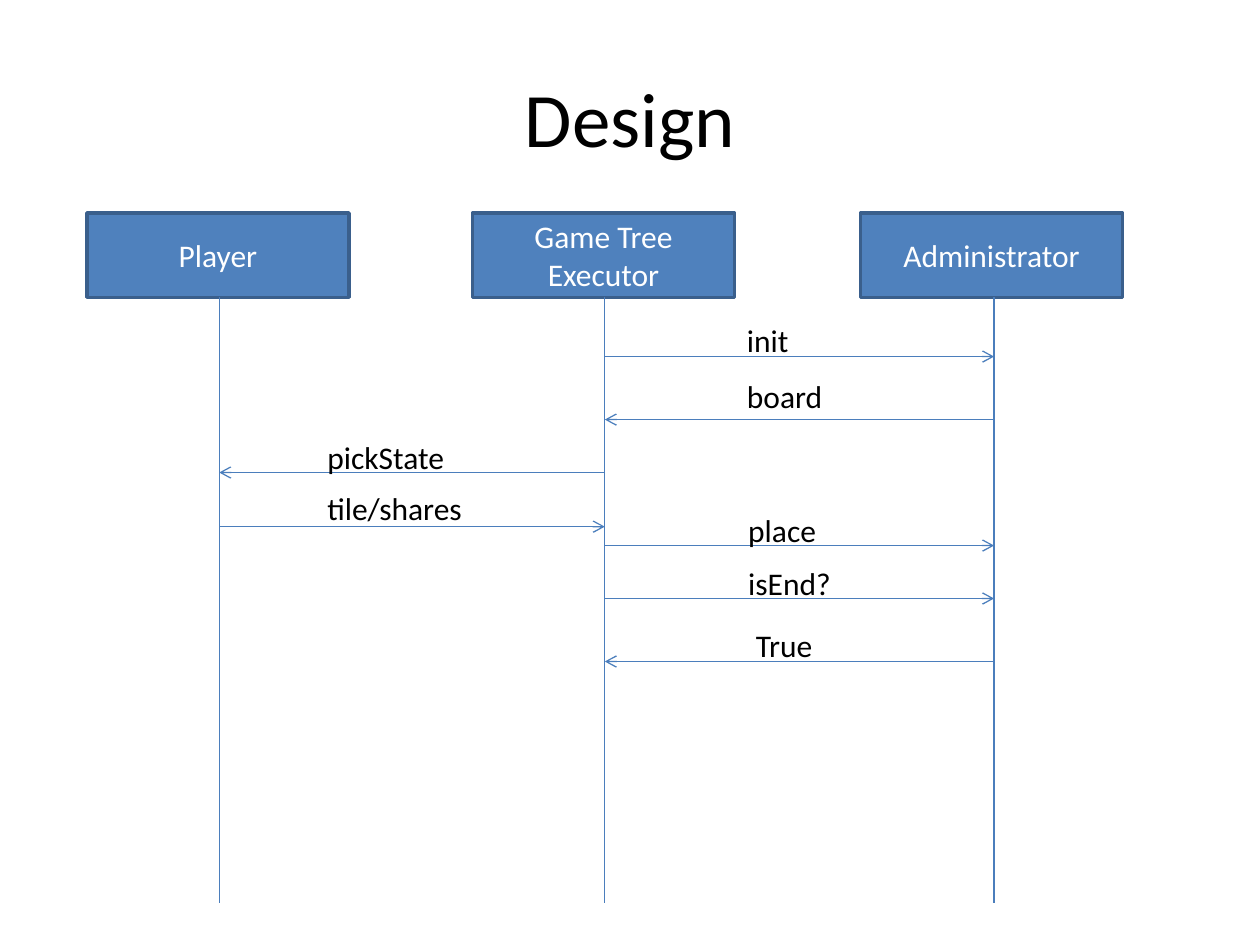
from dataclasses import dataclass

from lxml.etree import SubElement
from pptx import Presentation
from pptx.dml.color import RGBColor
from pptx.enum.shapes import MSO_CONNECTOR, MSO_SHAPE
from pptx.enum.text import MSO_ANCHOR, MSO_AUTO_SIZE, PP_ALIGN
from pptx.oxml.ns import qn
from pptx.slide import Slide
from pptx.text.text import TextFrame
from pptx.util import Inches, Pt

BLACK = RGBColor(0x00, 0x00, 0x00)
WHITE = RGBColor(0xFF, 0xFF, 0xFF)
BOX_FILL = RGBColor(0x4F, 0x81, 0xBD)
BOX_EDGE = RGBColor(0x3A, 0x5F, 0x8C)
LINE_BLUE = RGBColor(0x4B, 0x7E, 0xBC)
FONT = "Calibri"
BOX_TOP, BOX_WIDTH, BOX_HEIGHT = 1.69, 2.08, 0.67
BOX_BOTTOM = BOX_TOP + BOX_HEIGHT
LIFELINE_END = 7.17


@dataclass(frozen=True)
class Participant:
    """A box with a lifeline below it."""

    name: str
    left: float
    axis: float


@dataclass(frozen=True)
class Message:
    """A labelled arrow between two lifelines."""

    text: str
    sender: Participant
    receiver: Participant
    height: float
    label_left: float
    label_top: float
    label_width: float = 1.0


PLAYER = Participant("Player", 0.69, 1.74)
EXECUTOR = Participant("Game Tree Executor", 3.75, 4.8)
ADMINISTRATOR = Participant("Administrator", 6.83, 7.89)
PARTICIPANTS = (PLAYER, EXECUTOR, ADMINISTRATOR)
MESSAGES = (
    Message("init", EXECUTOR, ADMINISTRATOR, 2.83, 5.83, 2.5),
    Message("board", ADMINISTRATOR, EXECUTOR, 3.33, 5.83, 2.94),
    Message("pickState", EXECUTOR, PLAYER, 3.75, 2.5, 3.43, 1.26),
    Message("tile/shares", PLAYER, EXECUTOR, 4.18, 2.5, 3.83, 1.53),
    Message("place", EXECUTOR, ADMINISTRATOR, 4.33, 5.84, 4.01),
    Message("isEnd?", EXECUTOR, ADMINISTRATOR, 4.75, 5.84, 4.43),
    Message("True", ADMINISTRATOR, EXECUTOR, 5.25, 5.9, 4.92, 1.26),
)


def write(frame: TextFrame, text: str, *, size: float = 18,
          color: RGBColor = BLACK, align: PP_ALIGN = PP_ALIGN.LEFT,
          anchor: MSO_ANCHOR = MSO_ANCHOR.TOP) -> None:
    """Put one formatted paragraph into a text frame."""
    frame.word_wrap = True
    frame.vertical_anchor = anchor
    para = frame.paragraphs[0]
    para.alignment = align
    span = para.add_run()
    span.text = text
    span.font.name = FONT
    span.font.size = Pt(size)
    span.font.color.rgb = color


def draw_line(page: Slide, start: tuple[float, float],
              end: tuple[float, float], *, arrow: bool = False) -> None:
    """Draw a thin line, with an arrowhead at its end if asked."""
    line = page.shapes.add_connector(
        MSO_CONNECTOR.STRAIGHT, *map(Inches, start + end))
    line.line.color.rgb = LINE_BLUE
    line.line.width = Pt(0.75)
    if arrow:
        SubElement(line.line._get_or_add_ln(), qn("a:tailEnd"), type="arrow")
    SubElement(line._element.spPr, qn("a:effectLst"))


def draw_participant(page: Slide, participant: Participant) -> None:
    """Draw a participant's box and lifeline."""
    box = page.shapes.add_shape(
        MSO_SHAPE.RECTANGLE, Inches(participant.left), Inches(BOX_TOP),
        Inches(BOX_WIDTH), Inches(BOX_HEIGHT))
    box.shadow.inherit = False
    box.fill.solid()
    box.fill.fore_color.rgb = BOX_FILL
    box.line.color.rgb = BOX_EDGE
    box.line.width = Pt(2)
    write(box.text_frame, participant.name, color=WHITE,
          align=PP_ALIGN.CENTER, anchor=MSO_ANCHOR.MIDDLE)
    draw_line(page, (participant.axis, BOX_BOTTOM),
              (participant.axis, LIFELINE_END))


def draw_message(page: Slide, message: Message) -> None:
    """Draw a message's arrow and label."""
    draw_line(page, (message.sender.axis, message.height),
              (message.receiver.axis, message.height), arrow=True)
    label = page.shapes.add_textbox(
        Inches(message.label_left), Inches(message.label_top),
        Inches(message.label_width), Inches(0.4))
    write(label.text_frame, message.text)
    label.text_frame.auto_size = MSO_AUTO_SIZE.SHAPE_TO_FIT_TEXT


def main() -> None:
    """Build the sequence diagram slide."""
    deck = Presentation()
    deck.slide_width, deck.slide_height = Inches(10), Inches(7.5)
    page = deck.slides.add_slide(deck.slide_layouts[5])
    title = page.shapes.title
    title.left, title.top = Inches(0.5), Inches(0.3)
    title.width, title.height = Inches(9), Inches(1.25)
    write(title.text_frame, "Design", size=44, align=PP_ALIGN.CENTER,
          anchor=MSO_ANCHOR.MIDDLE)
    for participant in PARTICIPANTS:
        draw_participant(page, participant)
    for message in MESSAGES:
        draw_message(page, message)
    deck.save("out.pptx")


main()
